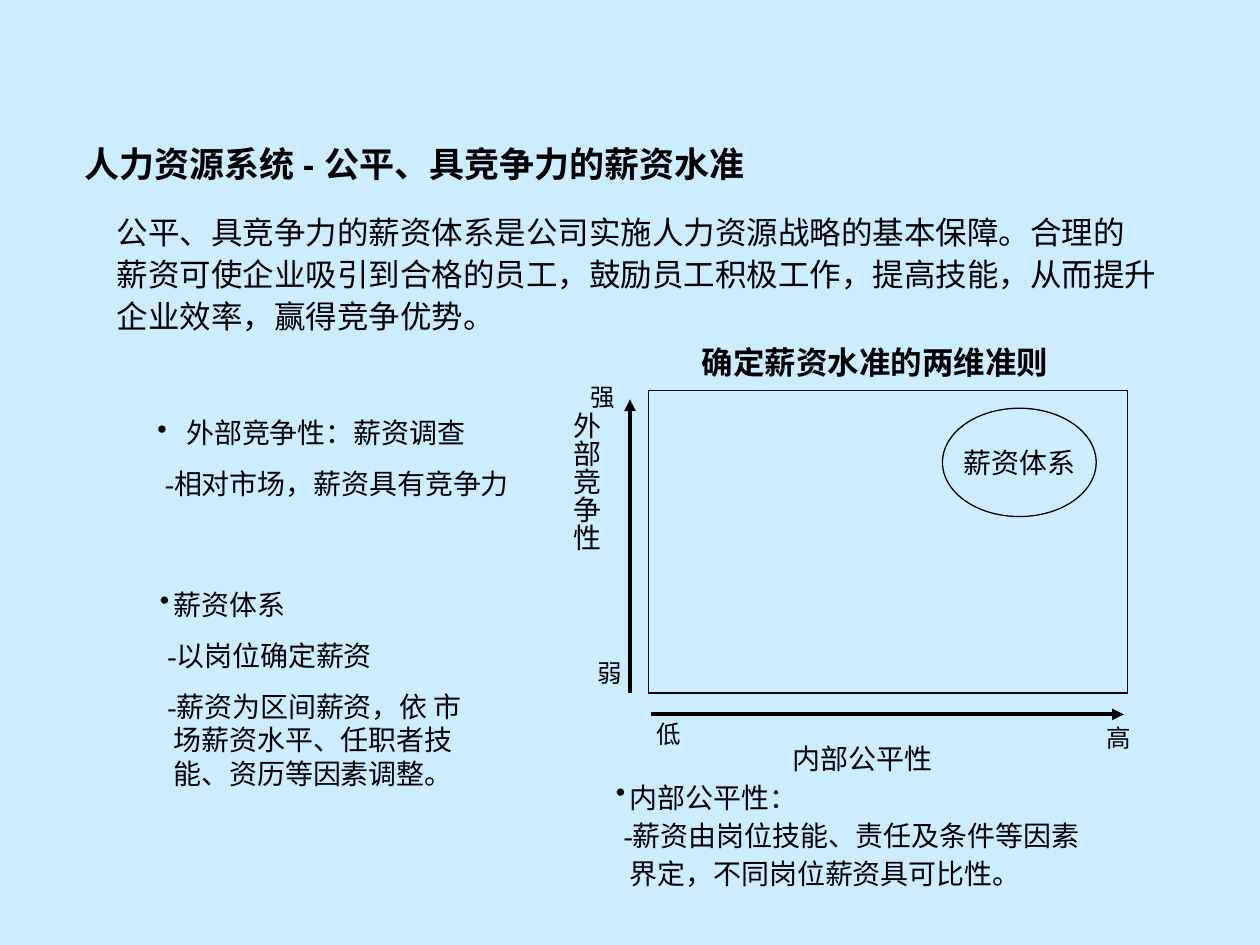
from dataclasses import dataclass

from lxml import etree
from pptx import Presentation
from pptx.dml.color import RGBColor
from pptx.enum.shapes import MSO_CONNECTOR, MSO_SHAPE
from pptx.enum.text import MSO_ANCHOR, MSO_AUTO_SIZE, PP_ALIGN
from pptx.oxml.ns import qn
from pptx.util import Inches, Pt

LEFT, CENTER = PP_ALIGN.LEFT, PP_ALIGN.CENTER
MIDDLE, TOP = MSO_ANCHOR.MIDDLE, MSO_ANCHOR.TOP
FIT_SHAPE = MSO_AUTO_SIZE.SHAPE_TO_FIT_TEXT
STRAIGHT = MSO_CONNECTOR.STRAIGHT
RECTANGLE, OVAL = MSO_SHAPE.RECTANGLE, MSO_SHAPE.OVAL
TITLE_ONLY = 5
CELL = 0.1  # inches: the slide is a grid of 100 columns by 75 rows


@dataclass(frozen=True)
class Theme:
    background: RGBColor = RGBColor(0xCC, 0xEC, 0xFF)
    ink: RGBColor = RGBColor(0, 0, 0)
    body_font: str = "Times New Roman"
    title_font: str = "Arial"
    title: int = 20
    intro: int = 18
    body: int = 16
    scale: int = 14
    outline: float = 0.75
    axis: float = 2.25


THEME = Theme()


@dataclass(frozen=True)
class Line:
    """One paragraph; margin and first are indents in inches."""
    text: str
    margin: float = 0
    first: float = 0
    bullet: bool = False


def grid(*cells):
    return [Inches(round(cell * CELL, 3)) for cell in cells]


def add_span(para, text, size, bold=False, font=THEME.body_font):
    span = para.add_run()
    span.text = text
    span.font.name, span.font.size, span.font.bold = font, Pt(size), bold
    span.font.color.rgb = THEME.ink


def set_indent(para, line):
    props = para._p.get_or_add_pPr()
    props.set("marL", str(Inches(line.margin)))
    props.set("indent", str(Inches(line.first)))
    if line.bullet:
        etree.SubElement(props, qn("a:buChar")).set("char", "•")


def set_frame(frame, wrap, anchor=MIDDLE):
    frame.word_wrap = wrap
    frame.vertical_anchor = anchor
    frame.auto_size = FIT_SHAPE


def add_text(page, area, lines, size, align=LEFT, wrap=True, bold=False,
             before=0, spacing=None, anchor=MIDDLE):
    box = page.shapes.add_textbox(*grid(*area))
    frame = box.text_frame
    set_frame(frame, wrap, anchor)
    for index, line in enumerate(lines):
        para = frame.add_paragraph() if index else frame.paragraphs[0]
        para.alignment = align
        para.space_before = Pt(before if index else 0)
        if spacing:
            para.line_spacing = spacing
        set_indent(para, line)
        for part, text in enumerate(line.text.split("\n")):
            if part:
                para.add_line_break()
            add_span(para, text, size, bold)
    return box


def add_outline(page, kind, area):
    shape = page.shapes.add_shape(kind, *grid(*area))
    shape.shadow.inherit = False
    shape.fill.background()
    shape.line.color.rgb = THEME.ink
    shape.line.width = Pt(THEME.outline)
    return shape


def add_axis(page, start, end):
    axis = page.shapes.add_connector(STRAIGHT, *grid(*start, *end))
    axis.line.color.rgb = THEME.ink
    axis.line.width = Pt(THEME.axis)
    etree.SubElement(axis.line._get_or_add_ln(), qn("a:tailEnd")).set("type", "triangle")
    etree.SubElement(axis._element.spPr, qn("a:effectLst"))


def set_title(page):
    title = page.shapes.title
    title.left, title.top, title.width, title.height = grid(5.7, 10.8, 55.7, 4.4)
    set_frame(title.text_frame, wrap=False)
    para = title.text_frame.paragraphs[0]
    para.alignment = LEFT
    add_span(para, "人力资源系统 - ", THEME.title, True, THEME.title_font)
    add_span(para, "公平、具竞争力的薪资水准", THEME.title, True)


def add_arguments(page):
    add_text(page, (8.3, 17.4, 84.5, 9.6), [
        Line("公平、具竞争力的薪资体系是公司实施人力资源战略的基本保障。合理的"),
        Line("薪资可使企业吸引到合格的员工，鼓励员工积极工作，提高技能，从而提升"),
        Line("企业效率，赢得竞争优势。"),
    ], THEME.intro, before=11.2, spacing=0.6)
    add_text(page, (11.5, 32.5, 30.4, 7.7), [
        Line("外部竞争性：薪资调查", 0.23, -0.23, True),
        Line("-相对市场，薪资具有竞争力", 0.06),
    ], THEME.body, wrap=False, before=10)
    add_text(page, (11.7, 46.1, 26.7, 17.1), [
        Line("薪资体系", 0.11, -0.11, True),
        Line("-以岗位确定薪资", 0.11, -0.05),
        Line("-薪资为区间薪资，依 市\n场薪资水平、任职者技能、资历等因素调整。", 0.11, -0.05),
    ], THEME.body, before=10)
    add_text(page, (47.9, 62.4, 41.5, 8.6), [
        Line("内部公平性：", 0.11, -0.11, True),
        Line("-薪资由岗位技能、责任及条件等因素", 0.11, -0.05),
        Line("界定，不同岗位薪资具可比性。", 0.11),
    ], THEME.body, before=10, spacing=0.6)


def add_matrix(page):
    """Draw the two-dimensional chart of pay criteria."""
    add_text(page, (54.7, 26.7, 35.6, 4), [Line("确定薪资水准的两维准则")],
             THEME.intro, bold=True)
    add_outline(page, RECTANGLE, (51.5, 31, 38, 24))
    target = add_outline(page, OVAL, (74.8, 32.4, 12.2, 8.6))
    target.text_frame.word_wrap = False
    target.text_frame.vertical_anchor = MIDDLE
    para = target.text_frame.paragraphs[0]
    para.alignment = CENTER
    add_span(para, "薪资体系", THEME.body)

    add_axis(page, (51.7, 56.7), (89.2, 56.7))
    add_axis(page, (50, 55), (50, 31.7))
    add_text(page, (61.9, 58.3, 13.1, 3.7), [Line("内部公平性")],
             THEME.body, CENTER, wrap=False)
    vertical = add_text(page, (44.2, 31.7, 5.7, 21.8), [Line("外部竞争性")],
                        THEME.body, CENTER, spacing=1.4)
    frame = vertical.text_frame
    frame.margin_left = frame.margin_right = Inches(0.05)
    frame.margin_top = frame.margin_bottom = Inches(0.1)
    frame._txBody.bodyPr.set("vert", "eaVert")
    for text, left, top in (("强", 45.9, 29.8), ("弱", 46.4, 51.7),
                            ("低", 51.1, 56.6), ("高", 86.8, 56.9)):
        add_text(page, (left, top, 3.9, 3.4), [Line(text)], THEME.scale,
                 CENTER, wrap=False, anchor=TOP)


def main():
    deck = Presentation()
    deck.slide_width, deck.slide_height = grid(100, 75)
    page = deck.slides.add_slide(deck.slide_layouts[TITLE_ONLY])
    page.background.fill.solid()
    page.background.fill.fore_color.rgb = THEME.background
    set_title(page)
    add_arguments(page)
    add_matrix(page)
    deck.save("out.pptx")


if __name__ == "__main__":
    main()
